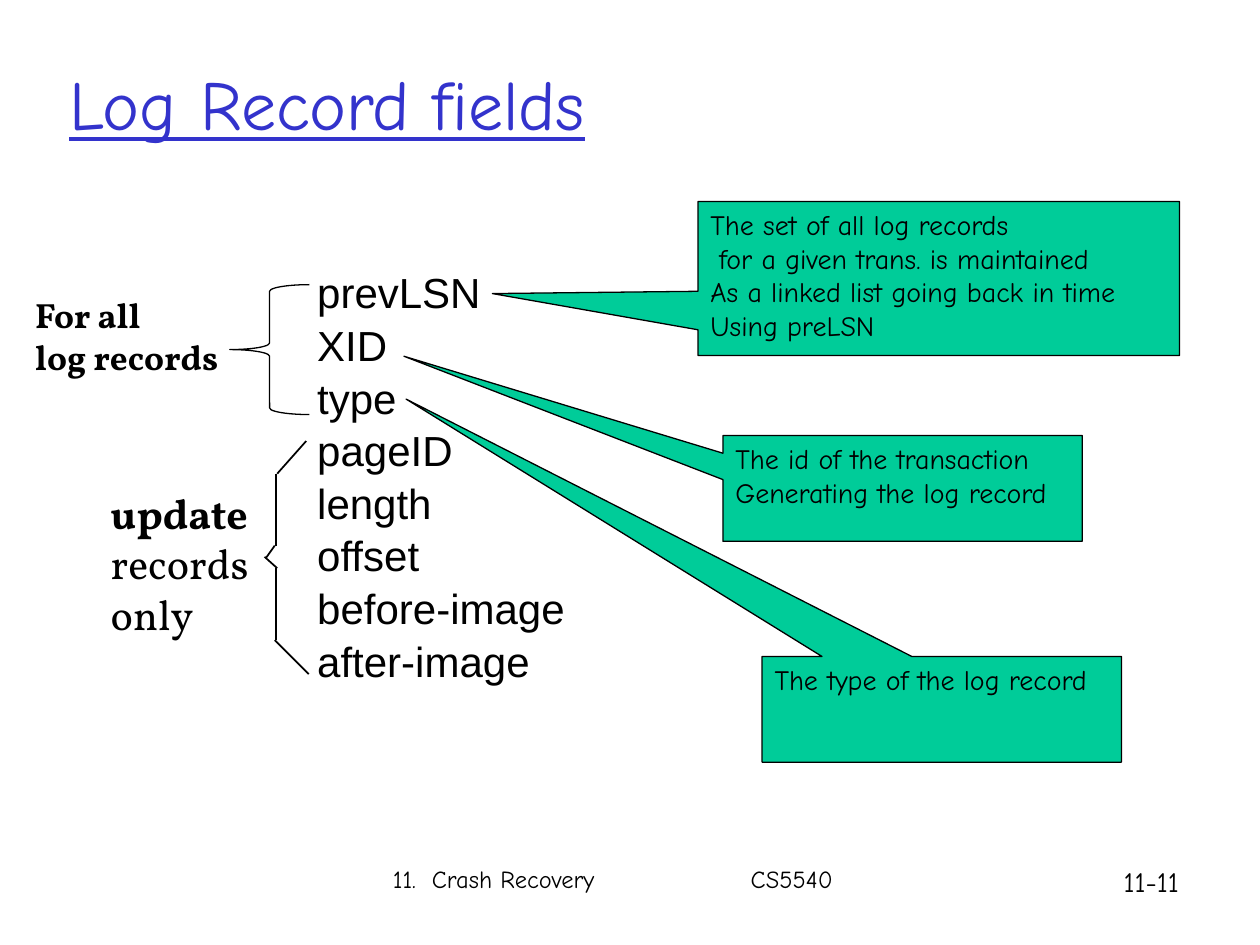
from lxml.etree import SubElement
from pptx import Presentation
from pptx.dml.color import RGBColor
from pptx.enum.shapes import MSO_CONNECTOR, MSO_SHAPE
from pptx.enum.text import MSO_ANCHOR, PP_ALIGN
from pptx.oxml.ns import qn
from pptx.util import Pt

BLACK, BLUE, GREEN = "000000", "3333CC", "00CC99"


def color(hex_value):
    return RGBColor.from_string(hex_value)


def write(shape, text, font="Comic Neue", size=16, ink=BLACK, bold_lines=0,
          underline=False, anchor=MSO_ANCHOR.TOP, wrap=True, tabs=(), indents=None):
    """Fill a shape with one paragraph per line of text."""
    frame = shape.text_frame
    frame.word_wrap = wrap
    frame.vertical_anchor = anchor
    for number, line in enumerate(text.split("\n")):
        paragraph = frame.paragraphs[0] if number == 0 else frame.add_paragraph()
        paragraph.alignment = PP_ALIGN.LEFT
        properties = paragraph._p.get_or_add_pPr()
        if indents and number in indents:
            properties.set("marL", str(Pt(indents[number])))
        if tabs:
            tab_list = SubElement(properties, qn("a:tabLst"))
            for position in tabs:
                SubElement(tab_list, qn("a:tab"), pos=str(Pt(position)), algn="l")
        run = paragraph.add_run()
        run.text = line
        run.font.name = font
        run.font.size = Pt(size)
        run.font.bold = number < bold_lines
        run.font.underline = underline
        run.font.color.rgb = color(ink)


prs = Presentation()
prs.slide_width, prs.slide_height = Pt(720), Pt(540)
slide = prs.slides.add_slide(prs.slide_layouts[6])
shapes = slide.shapes

# Title and footer
title = shapes.add_textbox(Pt(32.4), Pt(13.7), Pt(612), Pt(89.3))
write(title, "Log Record fields", size=40, ink=BLUE, underline=True,
      anchor=MSO_ANCHOR.MIDDLE)
footer = shapes.add_textbox(Pt(217.4), Pt(490.3), Pt(409), Pt(36))
write(footer, "11.\tCrash Recovery\tCS5540", size=14, tabs=(22.3, 204.5))
page_number = shapes.add_textbox(Pt(635), Pt(490.3), Pt(65.5), Pt(26.6))
write(page_number, "11-11")

# Log record fields, evenly stacked
fields = ("prevLSN", "XID", "type", "pageID", "length", "offset",
          "before-image", "after-image")
for row, field in enumerate(fields):
    field_box = shapes.add_textbox(Pt(174.2), Pt(149 + 30.05 * row), Pt(156), Pt(36))
    write(field_box, field, font="Arial", size=24, wrap=False)

# Brace and label for the fields of every record
all_brace = shapes.add_shape(MSO_SHAPE.LEFT_BRACE, Pt(131.3), Pt(162.7), Pt(45.5), Pt(74.2))
all_brace.shadow.inherit = False
all_brace.fill.background()
all_brace.line.color.rgb = color(BLACK)
all_brace.line.width = Pt(0.75)
all_label = shapes.add_textbox(Pt(13), Pt(164.2), Pt(128), Pt(54.7))
write(all_label, "For all\nlog records", font="Vollkorn", size=20, bold_lines=2)

# Brace of straight strokes and label for the update-only fields
update_strokes = (
    (157.7, 270.7, 157.7, 311.8),
    (157.7, 324.7, 157.7, 365.8),
    (158.4, 324.7, 151.2, 318.2),
    (151.9, 319, 157, 311.8),
    (158.4, 270.7, 175, 252),
    (176.4, 385.2, 157, 365.8),
)
for ends in update_strokes:
    stroke = shapes.add_connector(MSO_CONNECTOR.STRAIGHT, *map(Pt, ends))
    stroke.line.color.rgb = color(BLACK)
    stroke.line.width = Pt(1)
    SubElement(stroke._element.spPr, qn("a:effectLst"))
update_label = shapes.add_textbox(Pt(56.2), Pt(275), Pt(100.8), Pt(93.6))
write(update_label, "update\nrecords\nonly", font="Vollkorn", size=24,
      bold_lines=1, wrap=False)

# Callouts: text, bounds, pointer tip, indented lines
callouts = (
    ("The set of all log records\nfor a given trans. is maintained\n"
     "As a linked list going back in time\nUsing preLSN",
     (398.9, 115.2, 275.2, 87.9), (-0.927, 0.098), {1: 5}),
    ("The id of the transaction\nGenerating the log record",
     (413.1, 248.9, 205.3, 60.4), (-1.388, -1.251), None),
    ("The type of the log record",
     (435.5, 375.1, 205.3, 60.4), (-1.491, -2.935), None),
)
for remark, bounds, tip, indents in callouts:
    callout = shapes.add_shape(MSO_SHAPE.RECTANGULAR_CALLOUT, *map(Pt, bounds))
    callout.adjustments[0], callout.adjustments[1] = tip
    callout.shadow.inherit = False
    callout.fill.solid()
    callout.fill.fore_color.rgb = color(GREEN)
    callout.line.color.rgb = color(BLACK)
    callout.line.width = Pt(0.75)
    write(callout, remark, indents=indents)

prs.save("out.pptx")
